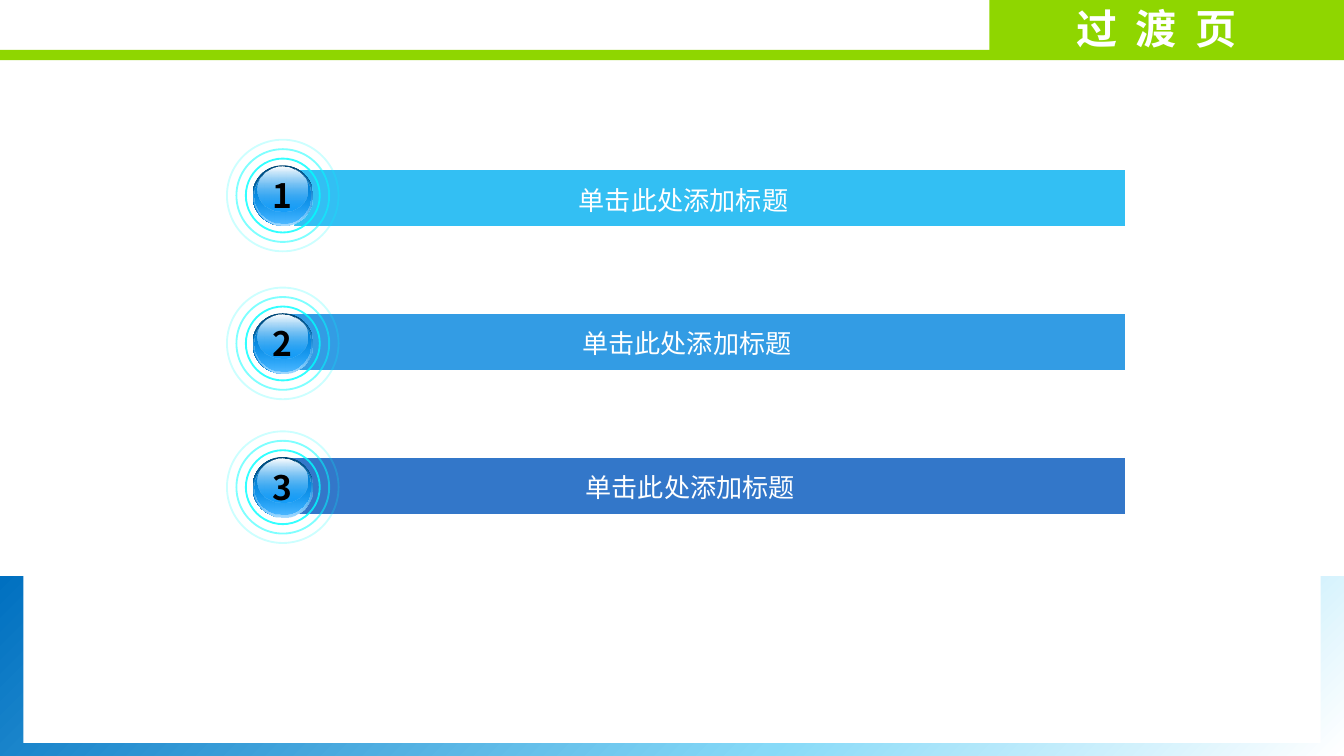
from lxml import etree
from pptx import Presentation
from pptx.dml.color import RGBColor
from pptx.enum.shapes import MSO_SHAPE
from pptx.enum.text import MSO_AUTO_SIZE, PP_ALIGN
from pptx.oxml.ns import qn
from pptx.util import Pt

RECTANGLE, OVAL = MSO_SHAPE.RECTANGLE, MSO_SHAPE.OVAL
LEFT, CENTER = PP_ALIGN.LEFT, PP_ALIGN.CENTER
FIT_TEXT = MSO_AUTO_SIZE.SHAPE_TO_FIT_TEXT

WHITE = RGBColor(0xFF, 0xFF, 0xFF)
BLACK = RGBColor(0x00, 0x00, 0x00)
GREEN = RGBColor(0x8F, 0xD6, 0x00)
CYAN = RGBColor(0x00, 0xFF, 0xFF)
DEEP_BLUE = RGBColor(0x00, 0x70, 0xC0)
PALE_BLUE = RGBColor(0x87, 0xDA, 0xF8)
NAVY = RGBColor(0x00, 0x47, 0x76)
AZURE = RGBColor(0x00, 0x99, 0xFF)
ICE = RGBColor(0xA6, 0xDB, 0xFF)
MID_BLUE = RGBColor(0x00, 0x79, 0xCA)
BAR_COLORS = [RGBColor(0x00, 0xB0, 0xF0), RGBColor(0x00, 0x84, 0xDE),
              RGBColor(0x00, 0x55, 0xBC)]
FONT = "Noto Sans CJK SC"


def add_figure(shapes, kind, left, top, width, height, stops=(), angle=90):
    """Add a shape; stops are (position, colour, opacity), all in percent."""
    figure = shapes.add_shape(kind, Pt(left), Pt(top), Pt(width), Pt(height))
    figure.shadow.inherit = False
    figure.line.fill.background()
    if not stops:
        figure.fill.background()
        return figure
    figure.fill.gradient()
    figure.fill.gradient_angle = 360 - angle
    stop_list = figure.element.spPr.find(".//" + qn("a:gsLst"))
    for old_stop in list(stop_list):
        stop_list.remove(old_stop)
    for position, color, opacity in stops:
        stop = etree.SubElement(stop_list, qn("a:gs"), pos=str(position * 1000))
        tint = etree.SubElement(stop, qn("a:srgbClr"), val=str(color))
        etree.SubElement(tint, qn("a:alpha"), val=str(opacity * 1000))
    return figure


def add_label(shapes, text, left, top, width, height, size, color,
              bold=False, align=LEFT, wrap=False):
    box = shapes.add_textbox(Pt(left), Pt(top), Pt(width), Pt(height))
    box.text_frame.word_wrap = wrap
    box.text_frame.auto_size = FIT_TEXT
    para = box.text_frame.paragraphs[0]
    para.text = text
    para.alignment = align
    para.font.name = FONT
    para.font.size = Pt(size)
    para.font.bold = bold
    para.font.color.rgb = color
    # East Asian characters take their own typeface
    for props in para.font._element.iter(qn("a:defRPr")):
        etree.SubElement(props, qn("a:ea"), typeface=FONT)
    return box


deck = Presentation()
deck.slide_width, deck.slide_height = Pt(720), Pt(405)
page = deck.slides.add_slide(deck.slide_layouts[6])

# Gradient frame at the foot, covered by the white content panel
add_figure(page.shapes, RECTANGLE, 0, 308.75, 720, 96.25,
           [(0, DEEP_BLUE, 100), (62, PALE_BLUE, 100), (100, WHITE, 100)], 45)
panel = add_figure(page.shapes, RECTANGLE, 12.5, 32.25, 695, 365.75)
panel.fill.solid()
panel.fill.fore_color.rgb = WHITE

# Green header: thin strip and title tab
for left, top, width, height in [(0, 26.75, 720, 5.5), (530, 0, 190, 28)]:
    header = add_figure(page.shapes, RECTANGLE, left, top, width, height)
    header.fill.solid()
    header.fill.fore_color.rgb = GREEN

# Numbered rows: a bar with its heading, and a glossy ball inside three rings
BAR_RIGHT, BAR_TOP, BAR_STEP, BAR_HEIGHT = 603, 90.75, 77, 31
BALL_X = 151.5
BALL_YS = [104.75, 184, 261]
RING_OPACITIES = [80, 50, 20]
BALL_LAYERS = [  # width, height, top relative to the ball's centre, stops
    (32.4, 32.4, -16.2, [(0, NAVY, 100), (100, AZURE, 100)]),
    (31.6, 31.6, -15.5, [(0, AZURE, 0), (100, ICE, 100)]),
    (30, 29.6, -14.8, [(0, MID_BLUE, 100), (100, AZURE, 48)]),
    (26.6, 23.8, -15.5, [(0, WHITE, 100), (100, AZURE, 38)]),
]
for row, (bar_color, ball_y) in enumerate(zip(BAR_COLORS, BALL_YS)):
    parts = page.shapes.add_group_shape().shapes
    bar_left = 157 - 1.5 * row
    bar_top = BAR_TOP + BAR_STEP * row

    bar = add_figure(parts, RECTANGLE, bar_left, bar_top,
                     BAR_RIGHT - bar_left, BAR_HEIGHT)
    bar.fill.solid()
    bar.fill.fore_color.rgb = bar_color
    tint = bar.element.spPr.find(".//" + qn("a:srgbClr"))
    etree.SubElement(tint, qn("a:alpha"), val="80000")
    bar.line.color.rgb = WHITE
    bar.line.width = Pt(1)
    add_label(parts, "单击此处添加标题", 303 + 1.8 * row, bar_top + 4.3,
              150.5, 21.6, 14, WHITE, wrap=True)

    for ring_index, opacity in enumerate(RING_OPACITIES):
        size = 39.6 + 10.1 * ring_index
        ring = add_figure(parts, OVAL, BALL_X - size / 2, ball_y - size / 2,
                          size, size)
        ring.line.color.rgb = CYAN
        ring.line.width = Pt(1)
        tint = ring.element.spPr.find(".//" + qn("a:srgbClr"))
        etree.SubElement(tint, qn("a:alpha"), val=str(opacity * 1000))

    for width, height, offset, stops in BALL_LAYERS:
        add_figure(parts, OVAL, BALL_X - width / 2, ball_y + offset,
                   width, height, stops)
    add_label(parts, str(row + 1), BALL_X - 13, ball_y - 14.5, 26, 28.8,
              18, BLACK, bold=True, align=CENTER)

# Page title
add_label(page.shapes, "过  渡  页", 569.5, -1.5, 104.5, 33.8, 22, WHITE, bold=True)

deck.save("out.pptx")
